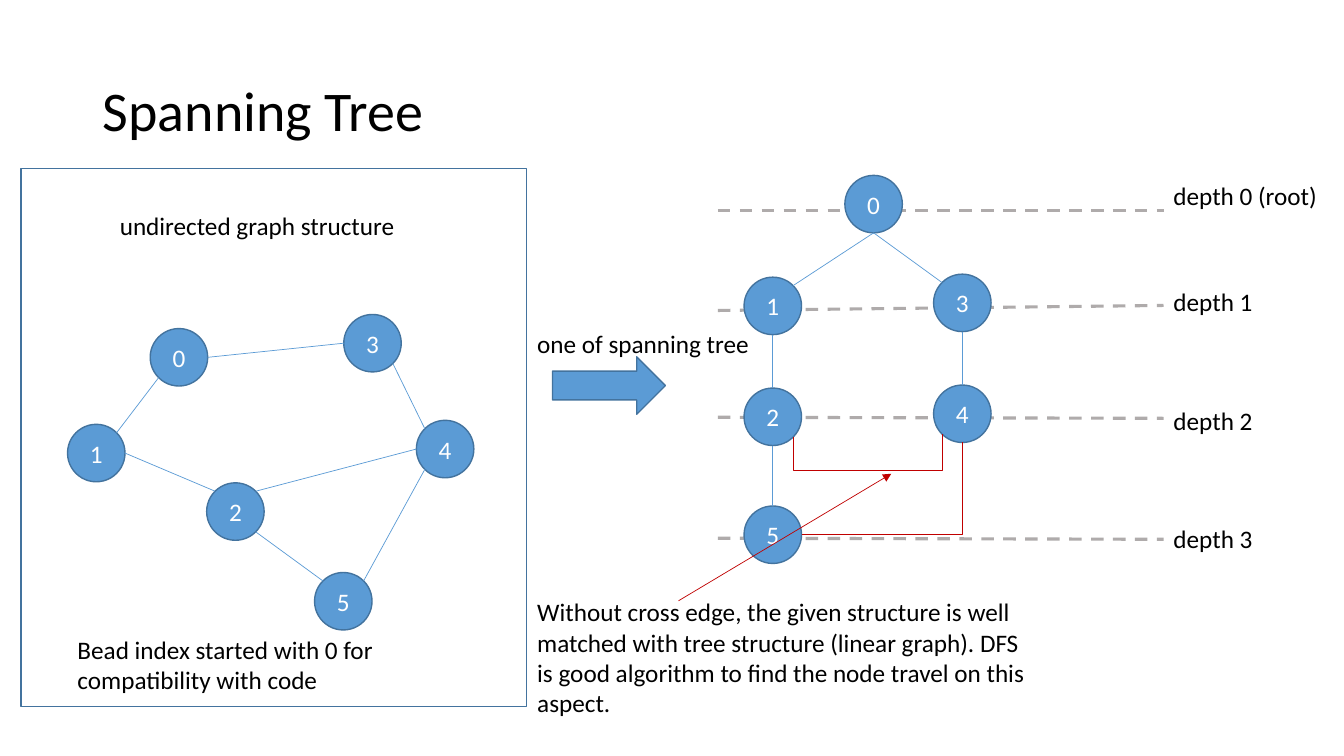
import math
import pptx
import pptx.util
import pptx.dml.color
import pptx.enum.dml
import pptx.enum.shapes
import pptx.enum.text
import lxml.etree

Inches = pptx.util.Inches
Point = pptx.util.Pt
Color = pptx.dml.color.RGBColor.from_string
Preset = pptx.enum.shapes.MSO_SHAPE
Link = pptx.enum.shapes.MSO_CONNECTOR
Align = pptx.enum.text.PP_ALIGN
Anchor = pptx.enum.text.MSO_ANCHOR
Fit = pptx.enum.text.MSO_AUTO_SIZE
DRAWING = "{http://schemas.openxmlformats.org/drawingml/2006/main}"

theme = {
    "font": "Calibri", "title": 40, "body": 18,
    "text": "000000", "light": "FFFFFF", "node": "5B9BD5",
    "outline": "43739E", "level": "AFABAB", "cross": "C00000",
}

deck = pptx.Presentation()
deck.slide_width, deck.slide_height = Inches(13.33), Inches(7.5)
page = deck.slides.add_slide(deck.slide_layouts[5])


def write(frame, words, size, color):
    para = frame.paragraphs[0]
    span = para.add_run()
    span.text = words
    span.font.name = theme["font"]
    span.font.size = Point(theme[size])
    span.font.color.rgb = Color(theme[color])
    return para


def connect(start, end, color, width=0.5, kind=Link.STRAIGHT):
    line = page.shapes.add_connector(kind, *[Inches(value) for value in (*start, *end)])
    line.line.color.rgb = Color(theme[color])
    line.line.width = Point(width)
    lxml.etree.SubElement(line._element.spPr, DRAWING + "effectLst")
    return line


title = page.shapes.title
title.left, title.top = Inches(0.92), Inches(0.4)
title.width, title.height = Inches(11.96), Inches(1.45)
title.text_frame.auto_size = Fit.NONE
title.text_frame.vertical_anchor = Anchor.MIDDLE
heading = write(title.text_frame, "Spanning Tree", "title", "text")
heading.alignment = Align.LEFT
heading.line_spacing = 0.9

for left_y, right_y in [(2.09, 2.09), (3.08, 3.03), (4.14, 4.15), (5.34, 5.35)]:
    level = connect((7.12, left_y), (11.54, right_y), "level", 2.25)
    level.line.dash_style = pptx.enum.dml.MSO_LINE.DASH

for preset, left, top, width, height in [
    (Preset.RECTANGLE, 0.21, 1.67, 5.01, 5.34),
    (Preset.RIGHT_ARROW, 5.48, 3.54, 1.12, 0.57),
]:
    shape = page.shapes.add_shape(preset, Inches(left), Inches(top), Inches(width), Inches(height))
    shape.shadow.inherit = False
    shape.line.color.rgb = Color(theme["outline"])
    shape.line.width = Point(1)
    if preset == Preset.RECTANGLE:
        shape.fill.background()
    else:
        shape.fill.solid()
        shape.fill.fore_color.rgb = Color(theme["node"])

diameter = 0.57
radius = diameter / 2
angles = {"E": 0, "SE": 45, "S": 90, "SW": 135, "W": 180, "NW": 225, "N": 270, "NE": 315}
graph_nodes = [(1.49, 3.26), (0.67, 4.21), (2.05, 4.79), (3.41, 3.12), (4.13, 4.17), (3.12, 5.68)]
graph_edges = [
    (0, "SW", 1, "NE"), (0, "E", 3, "W"), (1, "E", 2, "NW"), (2, "NE", 4, "W"),
    (2, "SE", 5, "NW"), (3, "SE", 4, "NW"), (4, "SW", 5, "NE"),
]
tree_nodes = [(8.38, 1.74), (7.38, 2.75), (7.38, 3.85), (9.26, 2.72), (9.26, 3.82), (7.38, 5.02)]
tree_edges = [
    (0, "S", 1, "NE"), (0, "S", 3, "NW"), (1, "S", 2, "N"), (3, "S", 4, "N"), (2, "S", 5, "N"),
]

for nodes, edges in [(graph_nodes, graph_edges), (tree_nodes, tree_edges)]:
    sites = []
    for index, (left, top) in enumerate(nodes):
        node = page.shapes.add_shape(
            Preset.OVAL, Inches(left), Inches(top), Inches(diameter), Inches(diameter))
        node.shadow.inherit = False
        node.fill.solid()
        node.fill.fore_color.rgb = Color(theme["node"])
        node.line.color.rgb = Color(theme["outline"])
        node.line.width = Point(1)
        node.text_frame.vertical_anchor = Anchor.MIDDLE
        write(node.text_frame, str(index), "body", "light").alignment = Align.CENTER
        sites.append({
            side: (left + radius + radius * math.cos(math.radians(angle)),
                   top + radius + radius * math.sin(math.radians(angle)))
            for side, angle in angles.items()
        })
    for first, first_side, second, second_side in edges:
        connect(sites[first][first_side], sites[second][second_side], "node")

start, end = sites[2]["SE"], sites[4]["SW"]
middle_x, middle_y = (start[0] + end[0]) / 2, (start[1] + end[1]) / 2
half_span, half_rise = (end[0] - start[0]) / 2, (start[1] - end[1]) / 2
sibling = connect(
    (middle_x + half_rise, middle_y + half_span),
    (middle_x - half_rise, middle_y - half_span), "cross", kind=Link.ELBOW)
sibling._element.spPr.find(DRAWING + "xfrm").set("rot", "5400000")
guides = sibling._element.spPr.find(DRAWING + "prstGeom").find(DRAWING + "avLst")
lxml.etree.SubElement(guides, DRAWING + "gd", name="adj1", fmla="val -1106200")

corner = connect(sites[5]["E"], sites[4]["S"], "cross", kind=Link.ELBOW)
corner._element.spPr.find(DRAWING + "prstGeom").set("prst", "bentConnector2")

pointer = connect((6.73, 5.96), (8.84, 4.7), "cross")
lxml.etree.SubElement(pointer.line._get_or_add_ln(), DRAWING + "tailEnd", type="triangle")

for words, left, top, width, height, wrap in [
    ("undirected graph structure", 1.09, 2.04, 2.96, 0.4, False),
    ("one of spanning tree", 5.23, 3.21, 2.36, 0.4, False),
    ("depth 0 (root)", 11.54, 1.74, 1.64, 0.4, False),
    ("depth 1", 11.54, 2.79, 1.02, 0.4, False),
    ("depth 2", 11.54, 3.97, 1.02, 0.4, False),
    ("depth 3", 11.54, 5.14, 1.02, 0.4, False),
    ("Bead index started with 0 for compatibility with code", 0.67, 6.24, 3.22, 0.71, True),
    ("Without cross edge, the given structure is well matched with tree structure "
     "(linear graph). DFS is good algorithm to find the node travel on this aspect.",
     5.23, 5.87, 5.18, 1.62, True),
]:
    box = page.shapes.add_textbox(Inches(left), Inches(top), Inches(width), Inches(height))
    box.text_frame.word_wrap = wrap
    box.text_frame.auto_size = Fit.SHAPE_TO_FIT_TEXT
    write(box.text_frame, words, "body", "text")

deck.save("out.pptx")
